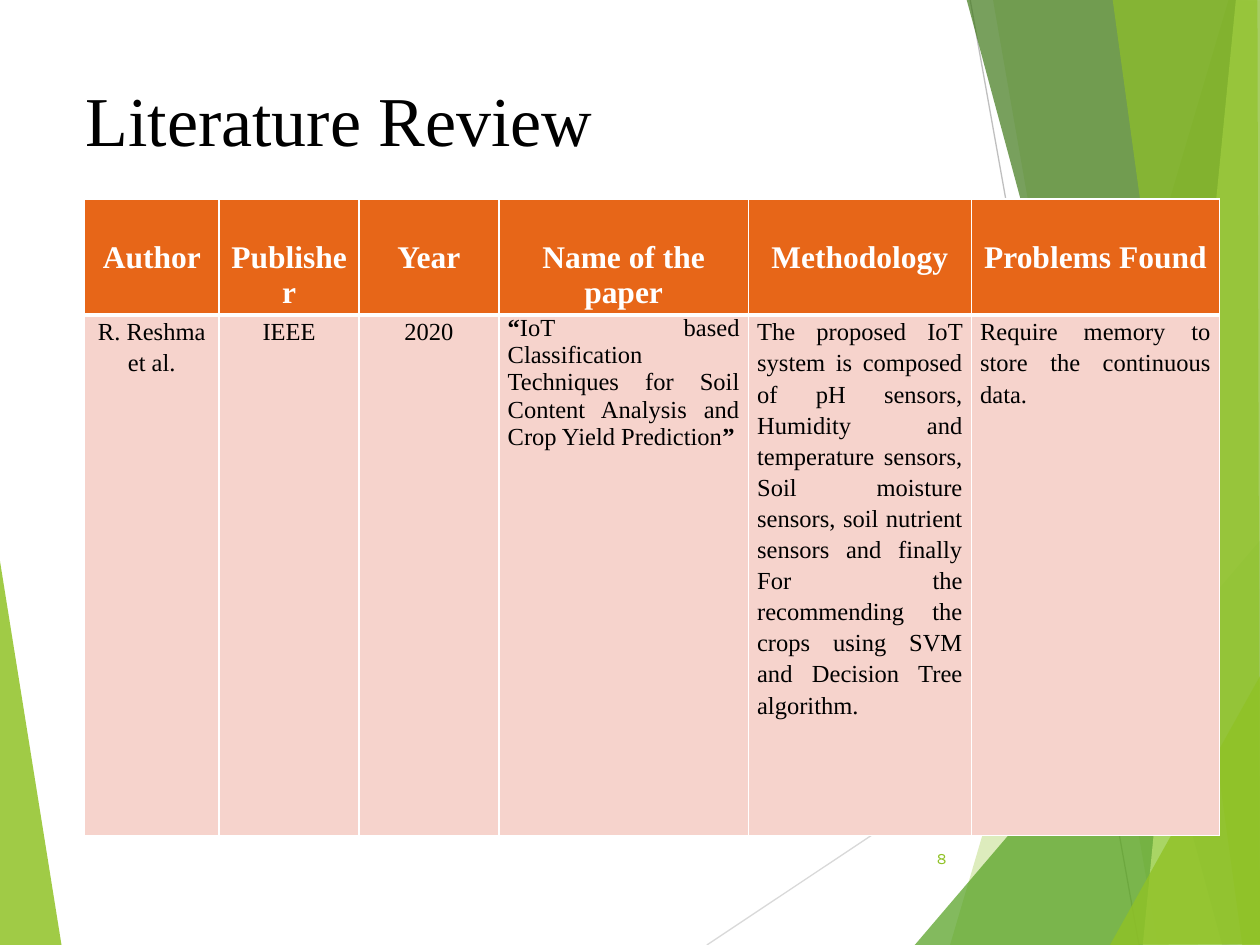
from lxml.etree import SubElement
from pptx import Presentation
from pptx.dml.color import RGBColor
from pptx.enum.shapes import MSO_CONNECTOR
from pptx.enum.text import MSO_ANCHOR, PP_ALIGN
from pptx.oxml import parse_xml
from pptx.oxml.ns import nsdecls, qn
from pptx.util import Inches, Pt

WHITE = RGBColor(0xFF, 0xFF, 0xFF)
BLACK = RGBColor(0x00, 0x00, 0x00)
LIME = RGBColor(0x90, 0xC2, 0x26)
GREEN = RGBColor(0x54, 0xA0, 0x21)
FOREST = RGBColor(0x3F, 0x78, 0x19)
PALE_LIME = RGBColor(0xC0, 0xE4, 0x74)
LIGHT_GRAY = RGBColor(0xD9, 0xD9, 0xD9)
GRAY = RGBColor(0xBF, 0xBF, 0xBF)
ORANGE = RGBColor(0xE7, 0x66, 0x18)
PINK = RGBColor(0xF6, 0xD3, 0xCC)
SERIF = "Times New Roman"

RAYS = [
    ((5.61, 7.5), (10.01, 4.57), LIGHT_GRAY),
    ((7.7, 0), (9.04, 7.5), GRAY),
]
FACETS = [
    ([(-0.01, 4.39), (0.49, 7.51), (-0.01, 7.5)], LIME, 85),
    ([(9.75, 0), (7.54, 7.5), (10.02, 7.51), (10.01, 0.01)], LIME, 30),
    ([(7.88, -0.01), (9.19, 7.5), (10.01, 7.5), (10.01, -0.01)], LIME, 20),
    ([(7.26, 7.5), (10, 4.29), (10.01, 7.5)], GREEN, 72),
    ([(7.67, -0.01), (9.7, 7.5), (10.01, 7.49), (10.01, -0.01)], FOREST, 70),
    ([(9.81, -0.01), (9.07, 7.5), (10.01, 7.5), (10, -0.01)], PALE_LIME, 70),
    ([(8.83, -0.01), (9.86, 7.5), (10, 7.5), (9.98, -0.01)], LIME, 65),
    ([(8.81, 7.5), (10.01, 5.35), (10.01, 7.49)], LIME, 80),
]

COLUMN_WIDTHS = [1.07, 1.11, 1.11, 1.98, 1.77, 1.97]
ROW_HEIGHTS = [0.92, 4.13]
HEADERS = ["Author", "Publisher", "Year", "Name of the paper", "Methodology", "Problems Found"]
REVIEW = [
    (["R. Reshma et al."], PP_ALIGN.CENTER, 1.15),
    (["IEEE"], PP_ALIGN.CENTER, 1.15),
    (["2020"], PP_ALIGN.CENTER, 1.15),
    (["“", "IoT based Classification Techniques for Soil Content Analysis "
      "and Crop Yield Prediction", "”"], PP_ALIGN.JUSTIFY, 1.0),
    (["The proposed IoT system is composed of pH sensors, Humidity and temperature "
      "sensors, Soil moisture sensors, soil nutrient sensors and finally For the "
      "recommending the crops using SVM and Decision Tree algorithm."], PP_ALIGN.JUSTIFY, 1.15),
    (["Require memory to store the continuous data."], PP_ALIGN.JUSTIFY, 1.15),
]


def style_font(font, size, color, name=SERIF, bold=False):
    font.size = Pt(size)
    font.name = name
    font.bold = bold
    font.color.rgb = color


def add_facet(slide, left, top, points, color, opacity):
    corners = [(Inches(left + x), Inches(top + y)) for x, y in points]
    builder = slide.shapes.build_freeform(*corners[0])
    builder.add_line_segments(corners[1:], close=True)
    shape = builder.convert_to_shape()
    shape.shadow.inherit = False
    shape.fill.solid()
    shape.fill.fore_color.rgb = color
    shape.line.fill.background()
    color_element = shape.fill._xPr.find(qn("a:solidFill"))[0]
    SubElement(color_element, qn("a:alpha")).set("val", str(opacity * 1000))


def add_ray(slide, left, top, start, end, color):
    ray = slide.shapes.add_connector(
        MSO_CONNECTOR.STRAIGHT,
        Inches(left + start[0]), Inches(top + start[1]),
        Inches(left + end[0]), Inches(top + end[1]))
    ray.line.color.rgb = color
    ray.line.width = Pt(0.75)
    SubElement(ray._element.spPr, qn("a:effectLst"))


def add_backdrop(slide, left, top):
    wedge, *facets = FACETS
    add_facet(slide, left, top, *wedge)
    for ray in RAYS:
        add_ray(slide, left, top, *ray)
    for facet in facets:
        add_facet(slide, left, top, *facet)


def set_borders(cell, top_width, bottom_width):
    properties = cell._tc.get_or_add_tcPr()
    widths = {"lnL": 1, "lnR": 1, "lnT": top_width, "lnB": bottom_width}
    for index, (side, width) in enumerate(widths.items()):
        properties.insert(index, parse_xml(
            f'<a:{side} {nsdecls("a")} w="{Pt(width)}"><a:solidFill>'
            f'<a:srgbClr val="{WHITE}"/></a:solidFill></a:{side}>'))


def fill_cell(cell, pieces, alignment, spacing, size, color, bold, fill, margin_top):
    cell.margin_left = cell.margin_right = Inches(0.07)
    cell.margin_top = Inches(margin_top)
    cell.margin_bottom = 0
    cell.fill.solid()
    cell.fill.fore_color.rgb = fill
    paragraph = cell.text_frame.paragraphs[0]
    paragraph.alignment = alignment
    paragraph.line_spacing = spacing
    for piece in pieces:
        run = paragraph.add_run()
        run.text = piece
        style_font(run.font, size, color, bold=bold or piece in "“”")


def add_review_table(slide, left, top, width, height):
    table = slide.shapes.add_table(
        len(ROW_HEIGHTS), len(COLUMN_WIDTHS),
        Inches(left), Inches(top), Inches(width), Inches(height)).table
    for column, column_width in zip(table.columns, COLUMN_WIDTHS):
        column.width = Inches(column_width)
    for row, row_height in zip(table.rows, ROW_HEIGHTS):
        row.height = Inches(row_height)
    for index, (header, entry) in enumerate(zip(HEADERS, REVIEW)):
        header_cell, body_cell = table.cell(0, index), table.cell(1, index)
        fill_cell(header_cell, [header], PP_ALIGN.CENTER, 1.0, 18, WHITE, True, ORANGE, 0.33)
        fill_cell(body_cell, *entry, 14, BLACK, False, PINK, 0)
        set_borders(header_cell, 1, 3)
        set_borders(body_cell, 3, 1)


def place_title(slide, left, top, width, height):
    title = slide.shapes.title
    title.left, title.top = Inches(left), Inches(top)
    title.width, title.height = Inches(width), Inches(height)
    frame = title.text_frame
    frame.text = "Literature Review"
    frame.vertical_anchor = MSO_ANCHOR.TOP
    frame.margin_top = Inches(0.12)
    frame.margin_bottom = 0
    paragraph = frame.paragraphs[0]
    paragraph.alignment = PP_ALIGN.LEFT
    style_font(paragraph.runs[0].font, 40, BLACK)


def add_page_number(slide, left, top, width, height):
    box = slide.shapes.add_textbox(Inches(left), Inches(top), Inches(width), Inches(height))
    frame = box.text_frame
    frame.word_wrap = True
    frame.vertical_anchor = MSO_ANCHOR.MIDDLE
    frame.text = "8"
    paragraph = frame.paragraphs[0]
    paragraph.alignment = PP_ALIGN.RIGHT
    style_font(paragraph.runs[0].font, 9, LIME, name="Karla")


def main():
    presentation = Presentation()
    presentation.slide_width = Inches(10)
    presentation.slide_height = Inches(7.5)
    slide = presentation.slides.add_slide(presentation.slide_layouts[5])
    add_backdrop(slide, 0, 0)
    add_review_table(slide, 0.67, 1.58, sum(COLUMN_WIDTHS), sum(ROW_HEIGHTS))
    place_title(slide, 0.58, 0.49, 7.62, 0.77)
    add_page_number(slide, 7.05, 6.61, 0.56, 0.4)
    presentation.save("out.pptx")


if __name__ == "__main__":
    main()
